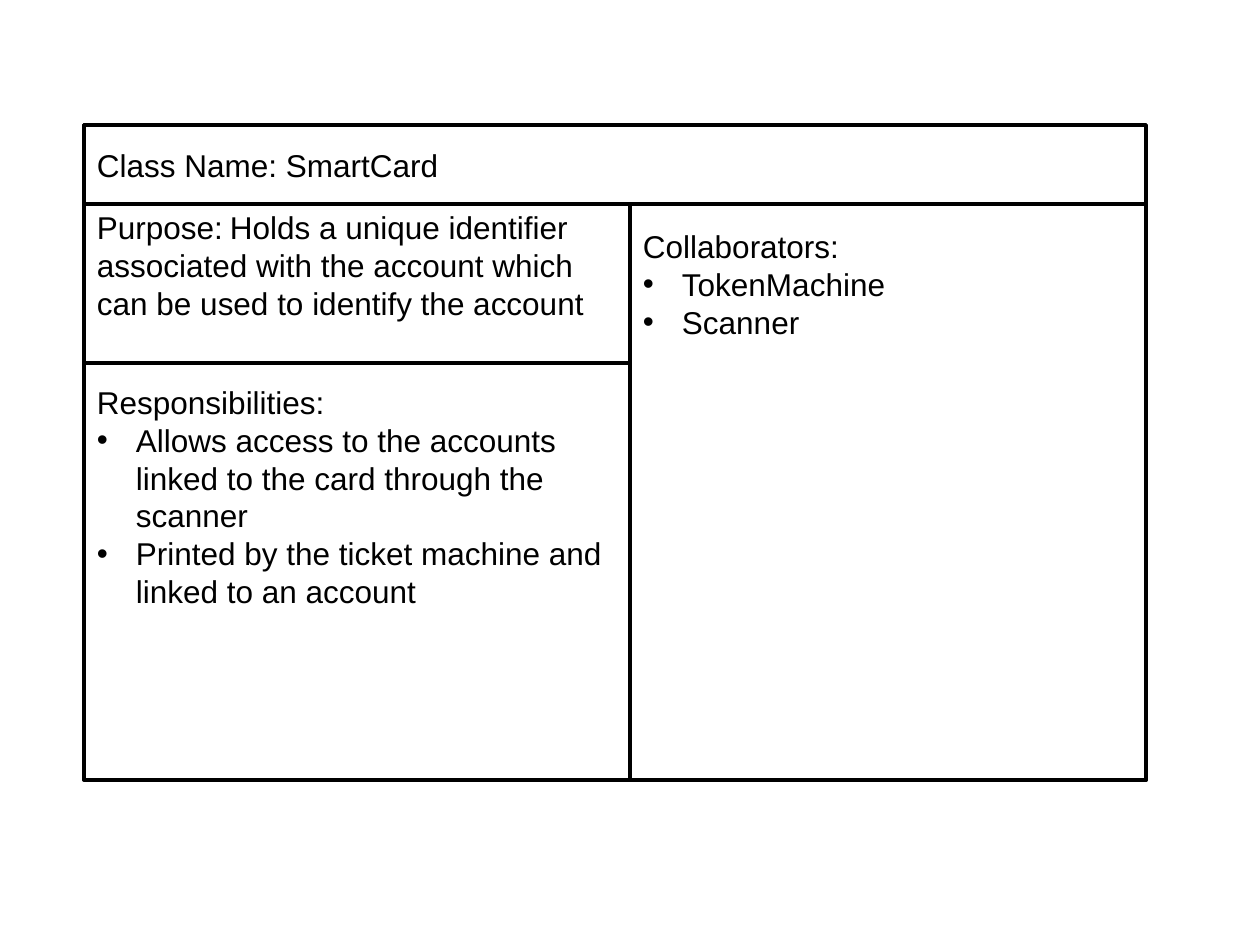
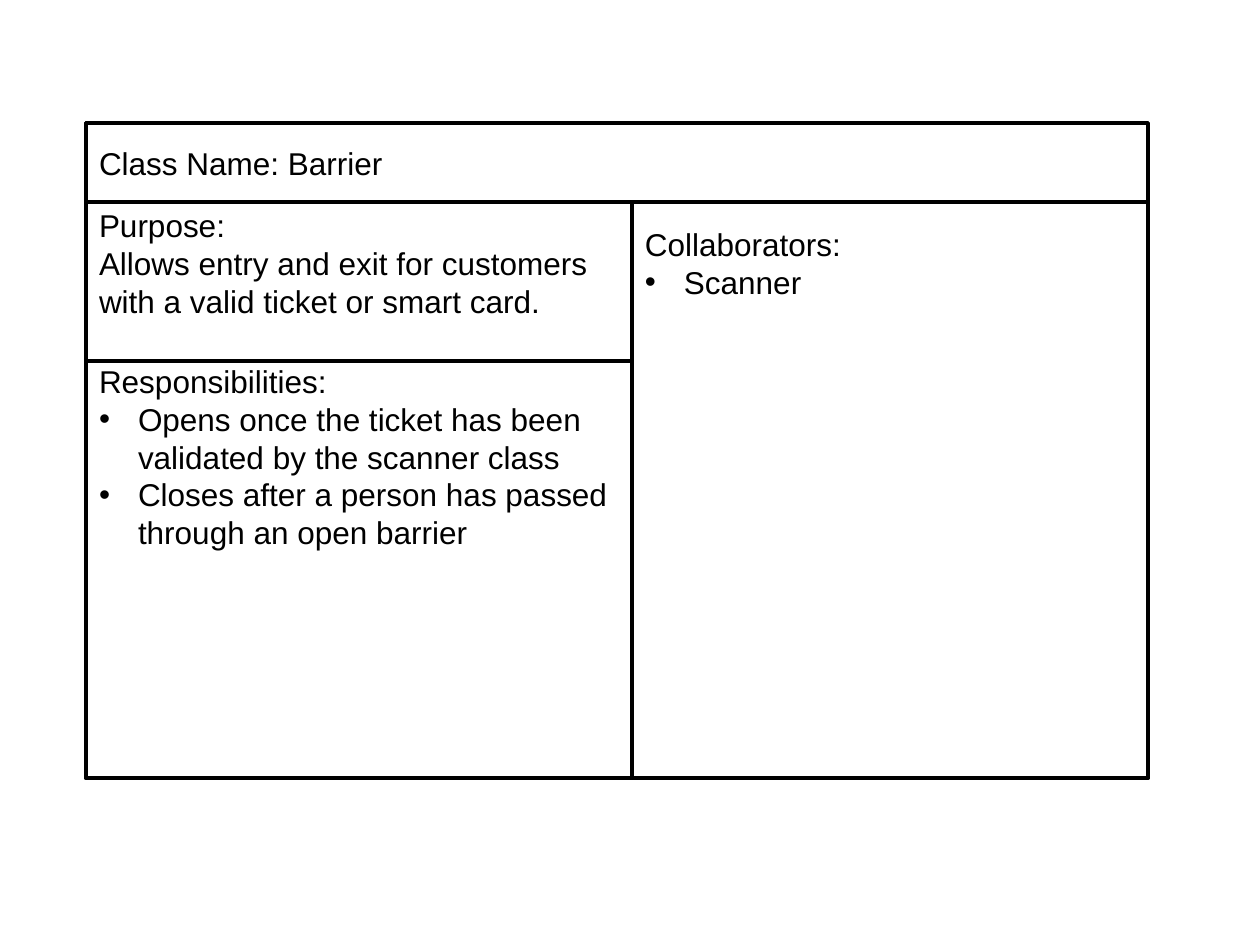
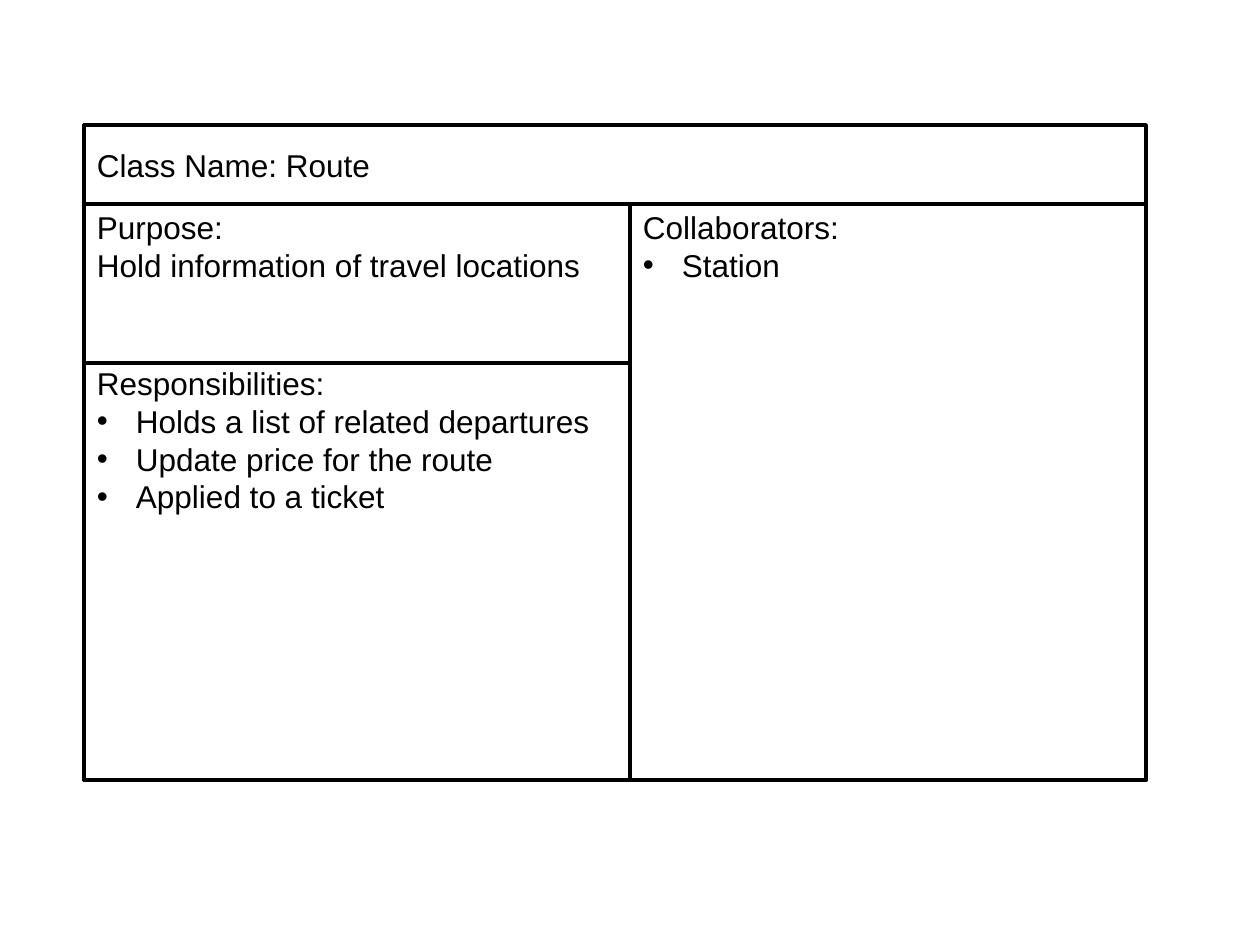
from lxml import etree
from pptx import Presentation
from pptx import util as u
from pptx.dml import color
from pptx.enum import shapes, text
from pptx.oxml import ns

PX = 914400 / 126
COLORS = {"fill": "FFFFFF", "line": "000000", "text": "000000"}
FONT = {"name": "Arial", "size": u.Pt(18), "bold": False}
PARAGRAPH = {
    "alignment": text.PP_ALIGN.LEFT,
    "line_spacing": u.Pt(21.6),
    "space_before": u.Pt(0),
    "space_after": u.Pt(0),
}
SMALL_SPACE = u.Pt(14)
CARD_WIDTH, CARD_HEIGHT = 1062, 655
NAME_HEIGHT, PURPOSE_HEIGHT, LEFT_WIDTH = 79, 159, 546
SIDE_INSET, END_INSET, BULLET_INDENT = 13, 6, 39

CARDS = [
    {
        "origin": (84, 125),
        "name": "SmartCard",
        "purpose": [[
            "Purpose:", " ",
            "Holds a unique identifier associated with the account which "
            "can be used to identify the account",
        ]],
        "responsibilities": [
            "Allows access to the accounts linked to the card through the scanner",
            "Printed by the ticket machine and linked to an account",
        ],
        "responsibilities_top": 20,
        "collaborators": ["TokenMachine", "Scanner"],
        "collaborators_top": 23,
    },
    {
        "origin": (86, 123),
        "name": "Barrier",
        "purpose": [
            ["Purpose:"],
            ["Allows entry and exit for customers with a valid ticket or smart card."],
        ],
        "responsibilities": [
            "Opens once the ticket has been validated by the scanner class",
            "Closes after a person has passed through an open barrier",
        ],
        "responsibilities_top": 1,
        "collaborators": ["Scanner"],
        "collaborators_top": 23,
    },
    {
        "origin": (84, 125),
        "name": "Route",
        "purpose": [["Purpose:"], ["Hold information of travel locations"]],
        "responsibilities": [
            "Holds a list of related departures",
            "Update price for the route",
            "Applied to a ticket",
        ],
        "responsibilities_top": 1,
        "collaborators": ["Station"],
        "collaborators_top": 4,
    },
]


def px(length):
    return u.Emu(round(length * PX))


def apply(target, values):
    for name, value in values.items():
        setattr(target, name, value)


def rgb(name):
    return color.RGBColor.from_string(COLORS[name])


def place(shape, left, top, width, height):
    box = {"left": left, "top": top, "width": width, "height": height}
    apply(shape, {name: px(length) for name, length in box.items()})
    shape.line.color.rgb = rgb("line")
    shape.line.width = u.Pt(2)


def add_rectangle(slide, *box):
    shape = slide.shapes.add_shape(shapes.MSO_SHAPE.RECTANGLE, *map(px, box))
    shape.shadow.inherit = False
    place(shape, *box)
    return shape


def set_bullet(paragraph, bulleted):
    properties = paragraph._p.get_or_add_pPr()
    indent = px(BULLET_INDENT) if bulleted else 0
    properties.set("marL", str(indent))
    properties.set("indent", str(-indent))
    tag = "a:buChar" if bulleted else "a:buNone"
    bullet = etree.SubElement(properties, ns.qn(tag))
    if bulleted:
        bullet.set("char", "•")


def write(shape, paragraphs, top, anchor=text.MSO_ANCHOR.TOP, bullets=False):
    shape.fill.solid()
    shape.fill.fore_color.rgb = rgb("fill")
    frame = shape.text_frame
    apply(frame, {
        "word_wrap": True,
        "auto_size": text.MSO_AUTO_SIZE.NONE,
        "vertical_anchor": anchor,
        "margin_left": px(SIDE_INSET),
        "margin_right": px(SIDE_INSET),
        "margin_top": px(top),
        "margin_bottom": px(END_INSET),
    })
    for index, pieces in enumerate(paragraphs):
        paragraph = frame.add_paragraph() if index else frame.paragraphs[0]
        set_bullet(paragraph, bullets and index > 0)
        apply(paragraph, PARAGRAPH)
        for piece in pieces:
            run = paragraph.add_run()
            run.text = piece
            apply(run.font, FONT)
            run.font.color.rgb = rgb("text")
            if piece == " ":
                run.font.size = SMALL_SPACE


def write_list(shape, heading, items, top):
    write(shape, [[heading]] + [[item] for item in items], top, bullets=True)


def add_card(presentation, card):
    slide = presentation.slides.add_slide(presentation.slide_layouts[3])
    title, responsibilities, collaborators = slide.placeholders
    left, top = card["origin"]
    purpose_top = top + NAME_HEIGHT
    duties_top = purpose_top + PURPOSE_HEIGHT
    bottom = top + CARD_HEIGHT

    purpose = add_rectangle(slide, left, purpose_top, LEFT_WIDTH, PURPOSE_HEIGHT)
    write(purpose, card["purpose"], 4)

    place(responsibilities, left, duties_top, LEFT_WIDTH, bottom - duties_top)
    write_list(responsibilities, "Responsibilities:",
               card["responsibilities"], card["responsibilities_top"])

    place(collaborators, left + LEFT_WIDTH, purpose_top,
          CARD_WIDTH - LEFT_WIDTH, bottom - purpose_top)
    write_list(collaborators, "Collaborators:",
               card["collaborators"], card["collaborators_top"])

    place(title, left, top, CARD_WIDTH, NAME_HEIGHT)
    write(title, [["Class Name: " + card["name"]]], END_INSET,
          text.MSO_ANCHOR.MIDDLE)

    outline = add_rectangle(slide, left, top, CARD_WIDTH, CARD_HEIGHT)
    outline.fill.background()


def main():
    presentation = Presentation()
    presentation.slide_width = px(1260)
    presentation.slide_height = px(945)
    for card in CARDS:
        add_card(presentation, card)
    presentation.save("out.pptx")


if __name__ == "__main__":
    main()
